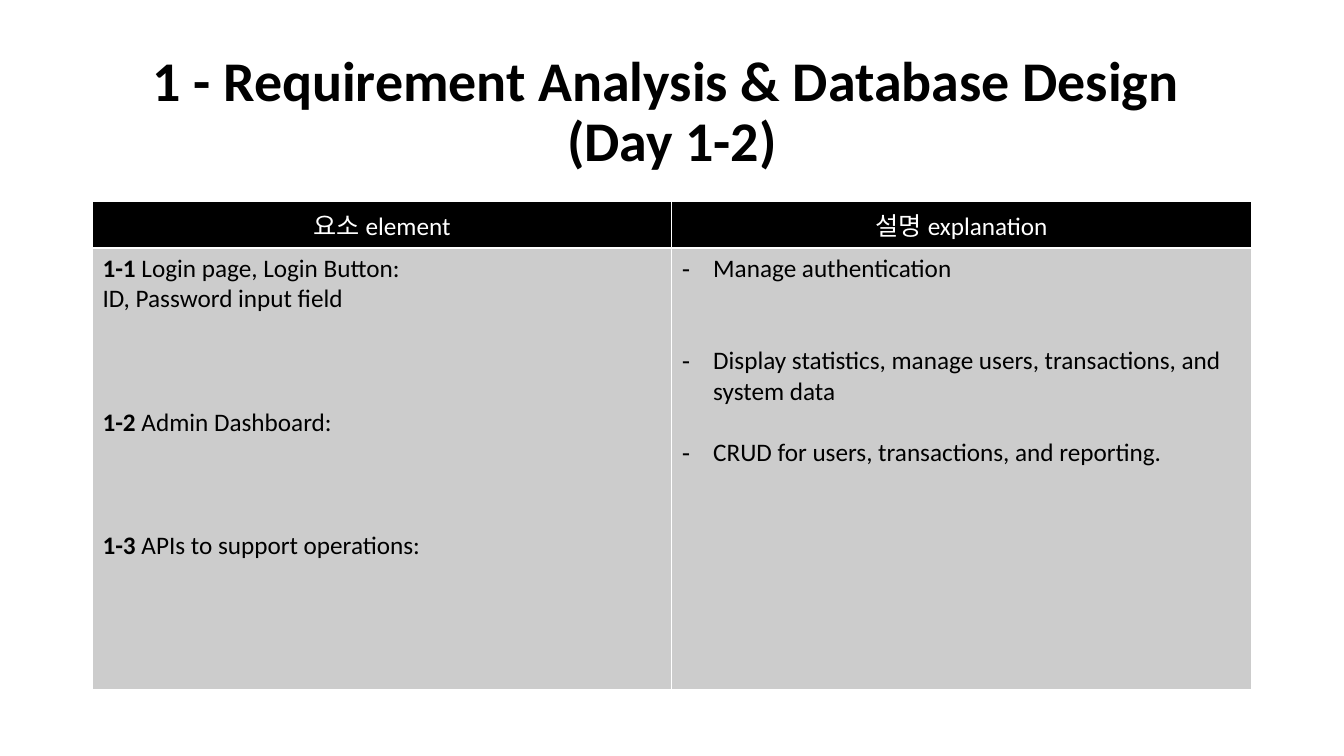
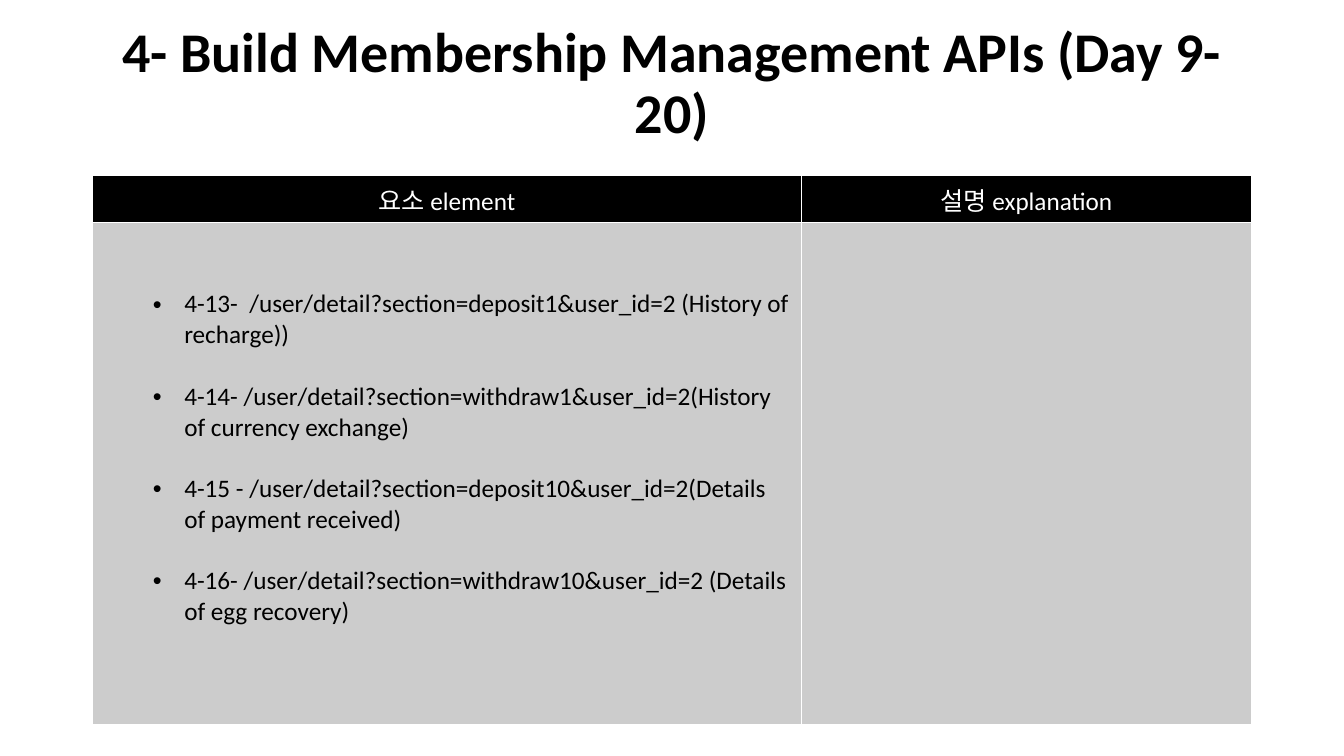
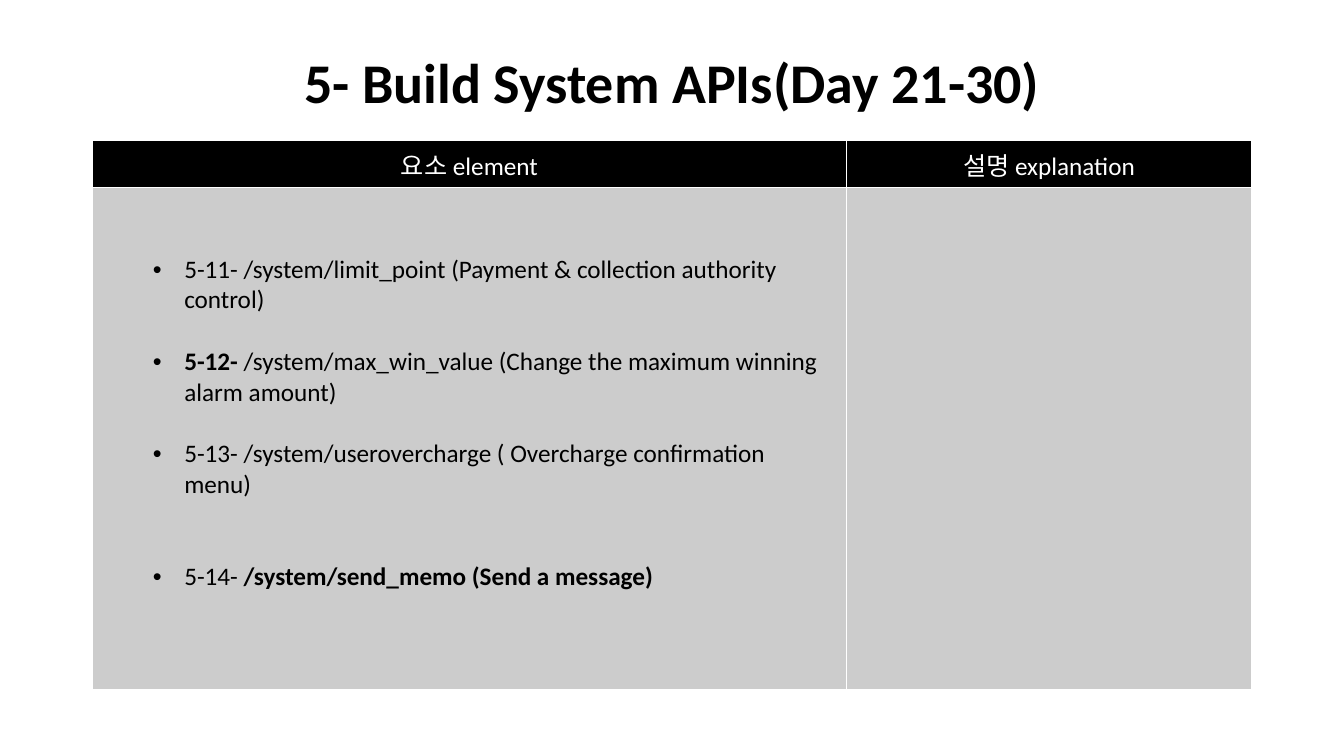
from lxml.etree import SubElement
from pptx import Presentation
from pptx.dml.color import RGBColor
from pptx.enum.text import MSO_ANCHOR, PP_ALIGN
from pptx.oxml.ns import qn
from pptx.util import Cm, Pt


def color(value):
    return RGBColor.from_string(value)


class Deck:
    FONT = "Calibri"
    BLACK = "000000"
    WHITE = "FFFFFF"
    GRAY = "CCCCCC"
    LEFT = 2.33
    WIDTH = 29.21
    HEADER_HEIGHT = 1.17
    LINE_POINTS = 22
    HANG = 0.79
    HEADINGS = ("요소 element", "설명 explanation")

    def __init__(self):
        self.deck = Presentation()
        self.deck.slide_width = Cm(33.87)
        self.deck.slide_height = Cm(19.05)
        self.page = None

    def add_page(self):
        self.page = self.deck.slides.add_slide(self.deck.slide_layouts[6])

    def style(self, span, size, fill, bold=False):
        span.font.name = self.FONT
        span.font.size = Pt(size)
        span.font.bold = bold
        span.font.color.rgb = color(fill)

    def title(self, text, top):
        box = self.page.shapes.add_textbox(
            Cm(self.LEFT), Cm(top), Cm(self.WIDTH), Cm(3.68))
        frame = box.text_frame
        frame.word_wrap = True
        frame.vertical_anchor = MSO_ANCHOR.MIDDLE
        frame.text = text
        para = frame.paragraphs[0]
        para.alignment = PP_ALIGN.CENTER
        para.line_spacing = 0.9
        for span in para.runs:
            self.style(span, 40, self.BLACK, True)

    def paint_cell(self, cell, fill):
        properties = cell._tc.get_or_add_tcPr()
        for side in ("a:lnL", "a:lnR", "a:lnT", "a:lnB"):
            line = SubElement(properties, qn(side), w=str(Pt(1)))
            solid = SubElement(line, qn("a:solidFill"))
            SubElement(solid, qn("a:srgbClr"), val=self.WHITE)
        cell.fill.solid()
        cell.fill.fore_color.rgb = color(fill)

    def bullet(self, para, symbol, indent):
        properties = para._p.get_or_add_pPr()
        properties.set("marL", str(Cm(indent + self.HANG)))
        properties.set("indent", str(-Cm(self.HANG)))
        SubElement(properties, qn("a:buFont"), typeface="Arial")
        SubElement(properties, qn("a:buChar"), char=symbol)

    def fill_cell(self, cell, items, symbol=None, indent=0, blank_lines=0):
        cell.margin_top = Cm(0.13) + Pt(blank_lines * self.LINE_POINTS)
        frame = cell.text_frame
        for index, (gap, text) in enumerate(items):
            para = frame.add_paragraph() if index else frame.paragraphs[0]
            if symbol:
                self.bullet(para, symbol, indent)
            if gap:
                para.space_before = Pt(gap * self.LINE_POINTS)
            for part, words in enumerate(text.split("|")):
                if words:
                    span = para.add_run()
                    span.text = words
                    self.style(span, 18, self.BLACK, part % 2 == 1)

    def table(self, top, first_width, body_height):
        frame = self.page.shapes.add_table(
            2, 2, Cm(self.LEFT), Cm(top), Cm(self.WIDTH),
            Cm(self.HEADER_HEIGHT + body_height))
        table = frame.table
        table.columns[0].width = Cm(first_width)
        table.columns[1].width = Cm(self.WIDTH - first_width)
        table.rows[0].height = Cm(self.HEADER_HEIGHT)
        table.rows[1].height = Cm(body_height)
        for column, heading in enumerate(self.HEADINGS):
            header = table.cell(0, column)
            self.paint_cell(header, self.BLACK)
            header.text_frame.text = heading
            para = header.text_frame.paragraphs[0]
            para.alignment = PP_ALIGN.CENTER
            self.style(para.runs[0], 18, self.WHITE)
            self.paint_cell(table.cell(1, column), self.GRAY)
        return table

    def api_page(self, title, top, first_width, items):
        self.add_page()
        self.title(title, 0.3)
        table = self.table(top, first_width, 12.65)
        self.fill_cell(table.cell(1, 0), items, "•", 1.27, 2)


def main():
    plan = Deck()

    plan.add_page()
    plan.title("1 - Requirement Analysis & Database Design \v(Day 1-2)", 1.02)
    table = plan.table(5.08, 14.6, 11.12)
    plan.fill_cell(table.cell(1, 0), [
        (0, "|1-1| Login page, Login Button:"),
        (0, "ID, Password input field"),
        (3, "|1-2| Admin Dashboard:"),
        (3, "|1-3| APIs to support operations:"),
    ])
    plan.fill_cell(table.cell(1, 1), [
        (0, "Manage authentication"),
        (2, "Display statistics, manage users, transactions, and system data"),
        (1, "CRUD for users, transactions, and reporting."),
    ], "-")

    plan.api_page("4- Build Membership Management APIs (Day 9-20)", 4.43, 17.86, [
        (0, "4-13-  /user/detail?section=deposit1&user_id=2 (History of recharge))"),
        (1, "4-14- /user/detail?section=withdraw1&user_id=2(History of currency exchange)"),
        (1, "4-15 - /user/detail?section=deposit10&user_id=2(Details of payment received)"),
        (1, "4-16- /user/detail?section=withdraw10&user_id=2 (Details of egg recovery)"),
    ])

    plan.api_page("5- Build System APIs(Day 21-30)", 3.55, 19, [
        (0, "5-11- /system/limit_point (Payment & collection authority control)"),
        (1, "|5-12-| /system/max_win_value (Change the maximum winning alarm amount)"),
        (1, "5-13- /system/userovercharge ( Overcharge confirmation menu)"),
        (2, "5-14- |/system/send_memo (Send a message)|"),
    ])

    plan.deck.save("out.pptx")


if __name__ == "__main__":
    main()
